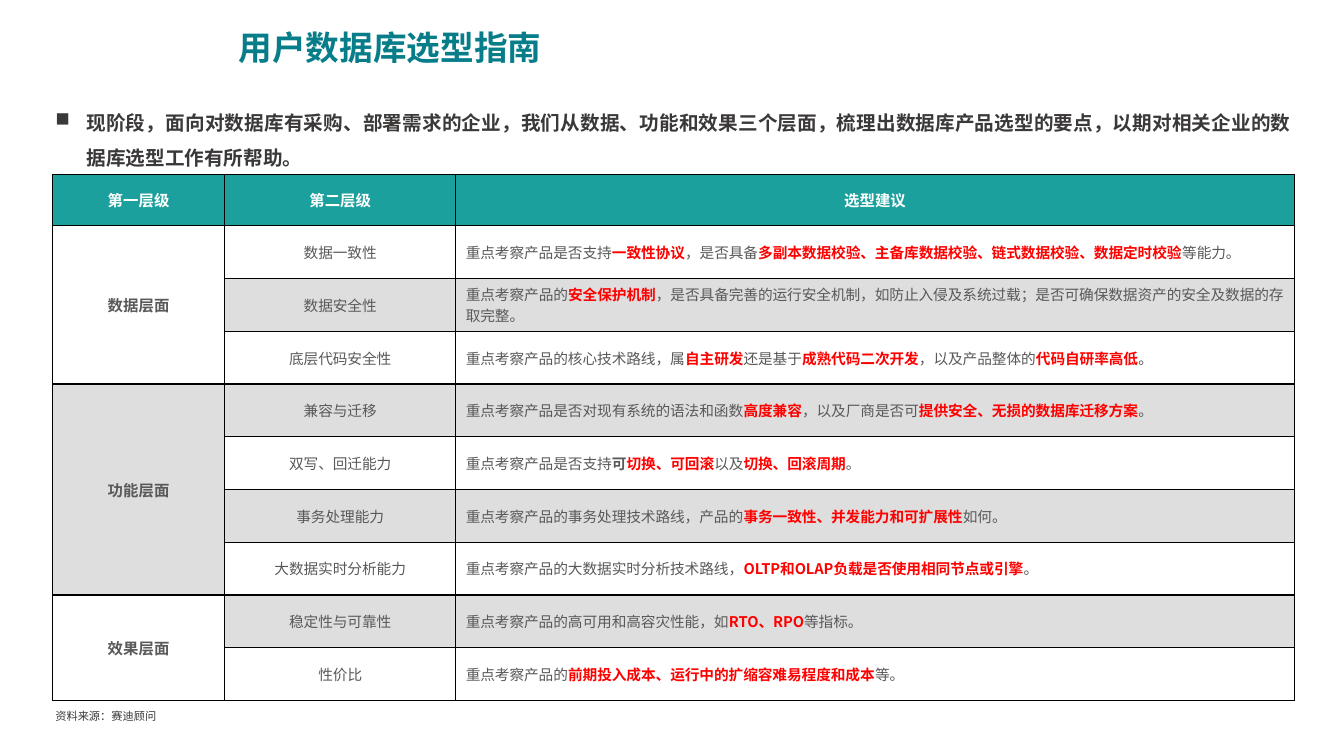
from lxml import etree
from pptx import Presentation
from pptx import util as u
from pptx.dml.color import RGBColor
from pptx.enum import text
from pptx.oxml import ns

# Content: *...* marks a key point, *^...* plain bold
TITLE = "用户数据库选型指南"
LEAD = ("现阶段，面向对数据库有采购、部署需求的企业，我们从数据、功能和效果三个层面，"
        "梳理出数据库产品选型的要点，以期对相关企业的数据库选型工作有所帮助。")
SOURCE = "资料来源：赛迪顾问"
HEADINGS = ("第一层级", "第二层级", "选型建议")
LEVELS = {
    "数据层面": [
        ("数据一致性", "重点考察产品是否支持*一致性协议*，是否具备"
                  "*多副本数据校验、主备库数据校验、链式数据校验、数据定时校验*等能力。"),
        ("数据安全性", "重点考察产品的*安全保护机制*，是否具备完善的运行安全机制，"
                  "如防止入侵及系统过载；是否可确保数据资产的安全及数据的存取完整。"),
        ("底层代码安全性", "重点考察产品的核心技术路线，属*自主研发*还是基于"
                    "*成熟代码二次开发*，以及产品整体的*代码自研率高低*。"),
    ],
    "功能层面": [
        ("兼容与迁移", "重点考察产品是否对现有系统的语法和函数*高度兼容*，"
                  "以及厂商是否可*提供安全、无损的数据库迁移方案*。"),
        ("双写、回迁能力", "重点考察产品是否支持*^可**切换、可回滚*以及*切换、回滚周期*。"),
        ("事务处理能力", "重点考察产品的事务处理技术路线，产品的"
                   "*事务一致性、并发能力和可扩展性*如何。"),
        ("大数据实时分析能力", "重点考察产品的大数据实时分析技术路线，"
                      "*OLTP和OLAP负载是否使用相同节点或引擎*。"),
    ],
    "效果层面": [
        ("稳定性与可靠性", "重点考察产品的高可用和高容灾性能，如*RTO、RPO*等指标。"),
        ("性价比", "重点考察产品的*前期投入成本、运行中的扩缩容难易程度和成本*等。"),
    ],
}

# Theme
THEME = {
    "font": "Noto Sans CJK SC",
    "header": "1CA09D", "band": "DEDEDE", "border": "000000",
    "title": {"size": 24, "color": "067D89", "bold": True},
    "lead": {"size": 14, "color": "3B3838", "bold": True},
    "source": {"size": 8, "color": "3B3838", "bold": False},
    "heading": {"size": 11, "color": "FFFFFF", "bold": True},
    "level": {"size": 11, "color": "595959", "bold": True},
    "body": {"size": 10.5, "color": "595959", "bold": False},
    "strong": {"size": 10.5, "color": "595959", "bold": True},
    "key": {"size": 10.5, "color": "FF0000", "bold": True},
}
LEFT, CENTER, JUSTIFY = (text.PP_ALIGN.LEFT, text.PP_ALIGN.CENTER,
                         text.PP_ALIGN.JUSTIFY)

# Layout in inches
PAGE = (13.33, 7.5)
TITLE_AT = (2.27, 0.22, 10.57, 0.5)
LEAD_AT = (0.45, 0.93, 12.46, 0.77)
SOURCE_AT = (0.45, 6.92, 2.18, 0.28)
TABLE_AT = (0.52, 1.73, 12.32, 5.22)
COLUMNS = (1.71, 2.29, 8.32)
HEADER_HEIGHT = 0.51
INDENT = 0.31


def add_span(para, words, style):
    span = para.add_run()
    span.text = words
    look = THEME[style]
    values = {"name": THEME["font"], "size": u.Pt(look["size"]), "bold": look["bold"]}
    for name, value in values.items():
        setattr(span.font, name, value)
    span.font.color.rgb = RGBColor.from_string(look["color"])
    etree.SubElement(span.font._element, ns.qn("a:ea"), typeface=THEME["font"])


def add_box(page, place, words, style, **paragraph_format):
    box = page.shapes.add_textbox(*map(u.Inches, place))
    box.text_frame.word_wrap = True
    para = box.text_frame.paragraphs[0]
    for name, value in paragraph_format.items():
        setattr(para, name, value)
    add_span(para, words, style)
    return para


def add_bullet(para):
    props = para._p.get_or_add_pPr()
    props.set("marL", str(u.Inches(INDENT)))
    props.set("indent", str(-u.Inches(INDENT)))
    etree.SubElement(props, ns.qn("a:buChar"), char="■")


def draw_borders(cell):
    props = cell._tc.get_or_add_tcPr()
    for side in ("lnL", "lnR", "lnT", "lnB"):
        line = etree.SubElement(props, ns.qn(f"a:{side}"), w=str(u.Pt(1)))
        fill = etree.SubElement(line, ns.qn("a:solidFill"))
        etree.SubElement(fill, ns.qn("a:srgbClr"), val=THEME["border"])


def fill_cell(cell, spans, align, color=None):
    cell.vertical_anchor = text.MSO_ANCHOR.MIDDLE
    if color:
        cell.fill.solid()
        cell.fill.fore_color.rgb = RGBColor.from_string(color)
    else:
        cell.fill.background()
    para = cell.text_frame.paragraphs[0]
    para.alignment = align
    for words, style in spans:
        add_span(para, words, style)


def split_advice(advice):
    for index, part in enumerate(advice.split("*")):
        if part:
            style = "body" if index % 2 == 0 else "strong" if part[0] == "^" else "key"
            yield part.lstrip("^"), style


def add_guide(page):
    count = sum(map(len, LEVELS.values()))
    frame = page.shapes.add_table(count + 1, len(COLUMNS), *map(u.Inches, TABLE_AT))
    table = frame.table
    table.first_row = table.horz_banding = False
    for column, width in zip(table.columns, COLUMNS):
        column.width = u.Inches(width)
    row_height = (TABLE_AT[3] - HEADER_HEIGHT) / count
    for index, row in enumerate(table.rows):
        row.height = u.Inches(row_height if index else HEADER_HEIGHT)
    for cell in table.iter_cells():
        draw_borders(cell)

    for index, heading in enumerate(HEADINGS):
        fill_cell(table.cell(0, index), [(heading, "heading")], CENTER, THEME["header"])

    # Levels and rows are shaded alternately
    shades = (None, THEME["band"])
    row = 1
    for index, (level, topics) in enumerate(LEVELS.items()):
        first = table.cell(row, 0)
        first.merge(table.cell(row + len(topics) - 1, 0))
        fill_cell(first, [(level, "level")], CENTER, shades[index % 2])
        for topic, advice in topics:
            shade = shades[(row - 1) % 2]
            fill_cell(table.cell(row, 1), [(topic, "body")], CENTER, shade)
            fill_cell(table.cell(row, 2), split_advice(advice), JUSTIFY, shade)
            row += 1


def main():
    deck = Presentation()
    deck.slide_width, deck.slide_height = map(u.Inches, PAGE)
    page = deck.slides.add_slide(deck.slide_layouts[6])
    add_box(page, TITLE_AT, TITLE, "title", alignment=JUSTIFY)
    add_guide(page)
    lead = add_box(page, LEAD_AT, LEAD, "lead", alignment=JUSTIFY, line_spacing=1.5)
    add_bullet(lead)
    add_box(page, SOURCE_AT, SOURCE, "source", alignment=LEFT, line_spacing=1.5)
    deck.save("out.pptx")


if __name__ == "__main__":
    main()
